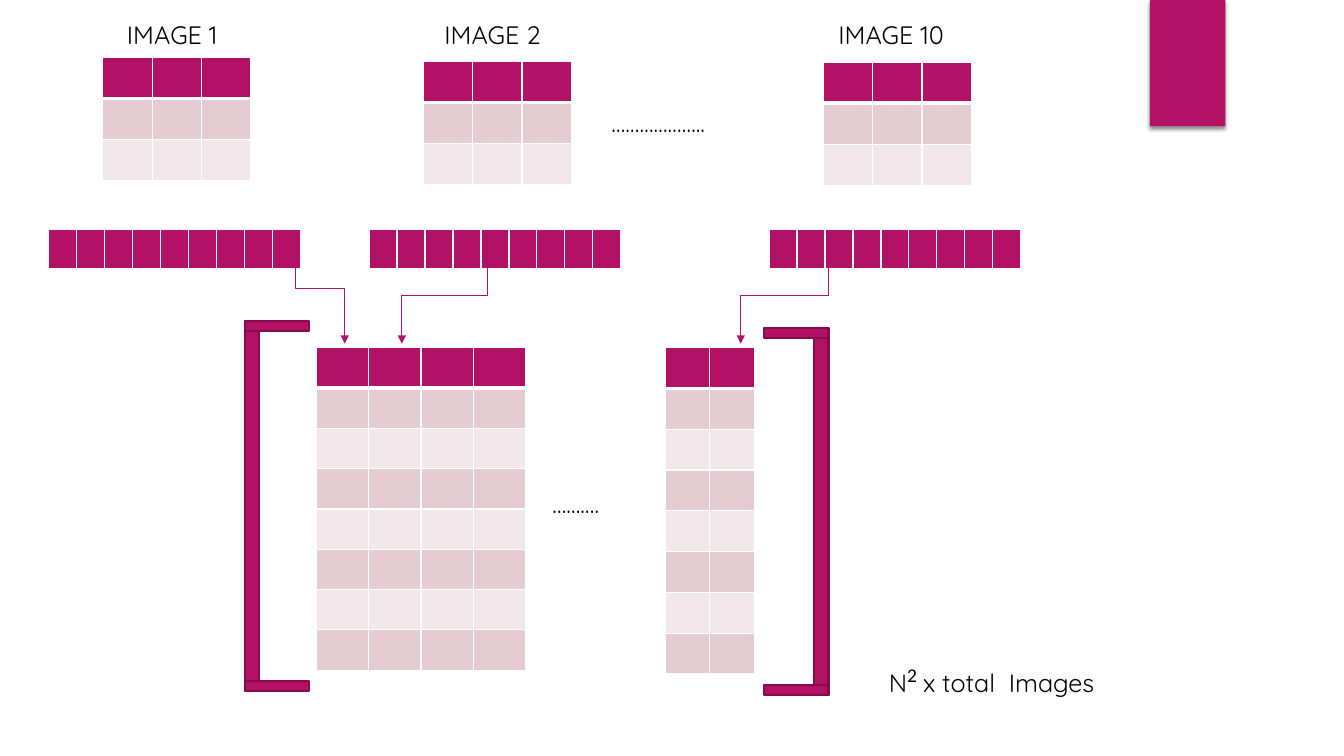
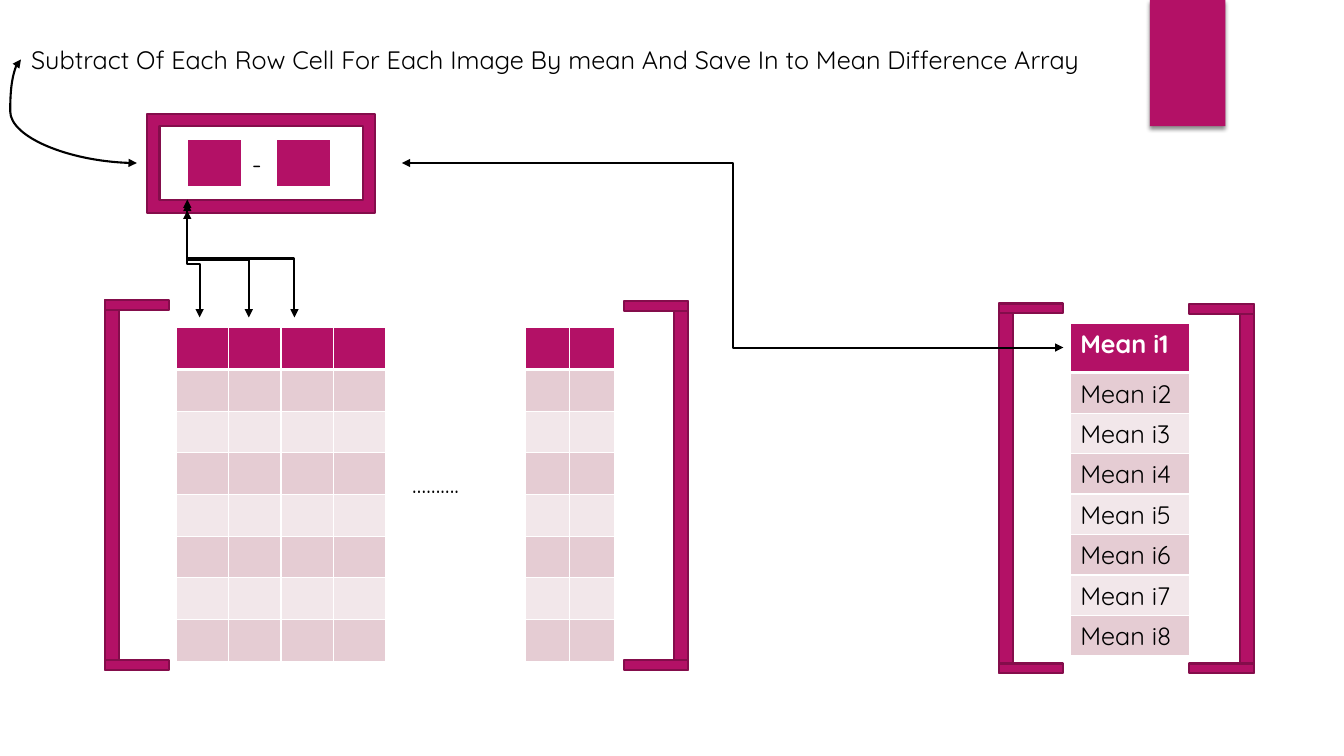
from dataclasses import dataclass

from lxml import etree
from pptx import Presentation
from pptx.dml.color import RGBColor
from pptx.enum.shapes import MSO_CONNECTOR, MSO_SHAPE
from pptx.enum.text import MSO_ANCHOR, PP_ALIGN
from pptx.oxml.ns import qn
from pptx.util import Cm, Pt

RECTANGLE, FRAME = MSO_SHAPE.RECTANGLE, MSO_SHAPE.FRAME
ELBOW, CURVE = MSO_CONNECTOR.ELBOW, MSO_CONNECTOR.CURVE
LEFT, TOP, MIDDLE = PP_ALIGN.LEFT, MSO_ANCHOR.TOP, MSO_ANCHOR.MIDDLE
TITLE_ONLY, BLANK = 5, 6


@dataclass(frozen=True)
class Theme:
    accent: str = "B31166"
    outline: str = "840D4B"
    band_dark: str = "E5CCD3"
    band_light: str = "F2E7EA"
    white: str = "FFFFFF"
    black: str = "000000"
    font: str = "Quicksand"
    digit_font: str = "Calibri"
    text_size: int = 18
    space_size: int = 16
    digit_size: int = 24
    thin: float = 0.75
    border: float = 1
    line: float = 1.5
    header_border: float = 3


THEME = Theme()

BAND = (28.98, 0, 1.9, 3.18)
LINE_HEIGHT = 1.02
BRACKET_WIDTH, SPINE, BAR = 1.63, 0.36, 0.25
STRIP_INSET, STRIP_TOP, STRIP_WIDTH, STRIP_HEIGHT = 1.37, 5.77, 6.35, 1.03
GRID_SIZE = (3.73, 3.1)

IMAGES = [
    {"label": "IMAGE 1", "label_box": (2.95, 3.25), "grid": (2.59, 1.45)},
    {"label": "IMAGE 2", "label_box": (10.95, 3.25), "grid": (10.67, 1.55)},
    {"label": "IMAGE 10", "label_box": (20.88, 3.61), "grid": (20.75, 1.57)},
]
IMAGE_DOTS = ("………………..", (15.16, 2.57, 4.78, LINE_HEIGHT))
IMAGE_ARROWS = [
    ((7.44, 5.89), (8.69, 8.66)),
    ((12.29, 6.25), (10.13, 8.66)),
    ((20.88, 6.25), (18.67, 8.66)),
]
TOTAL_RUNS = [
    ("N", {}),
    ("2", {"name": THEME.digit_font, "size": Pt(THEME.digit_size)}),
    (" ", {"size": Pt(THEME.space_size)}),
    ("x total  Images", {}),
]
TOTAL_BOX = (22.15, 16.48, 8.13, 1.07)

STACKED_MATRIX = {
    "origin": (7.98, 8.76), "heights": (8.13, 8.23),
    "brackets": ((8.1, 9.32), (8.26, 9.25)),
}
MEAN_MATRIX = {
    "origin": (4.45, 8.26), "heights": (8.4, 8.4),
    "brackets": ((7.57, 9.32), (7.59, 9.3)),
}

TITLE = ("Subtract Of Each Row Cell For Each Image By mean "
         "And Save In to Mean Difference Array")
TITLE_BOX = (0.53, 0.99, 28.47, LINE_HEIGHT)
MEANS = [[f"Mean i{number}"] for number in range(1, 9)]
MEAN_BOX = (26.97, 8.15, 3.02)
MEAN_ROWS = [1.24] + [1.02] * 7
MEAN_BRACKETS = [(25.17, 7.65, 9.32, False), (29.97, 7.67, 9.3, True)]
OPERATION_FRAME = (3.71, 2.87, 5.74, 2.49)
OPERAND_LEFTS, OPERAND_TOP, OPERAND_SIZE = (4.72, 6.96), 3.51, (1.37, 1.22)
MINUS = ("-", (6.1, 3.61, 0.74, LINE_HEIGHT))
CELL_ARROWS = [
    ((5.03, 8), (4.72, 5.31)),
    ((6.27, 8), (4.72, 5.11)),
    ((7.42, 8), (4.72, 5.03)),
]
MEAN_ARROW = ((26.8, 8.76), (10.13, 4.11))
TITLE_ARROW = ((3.45, 4.11), (0.53, 1.5))
TITLE_ARROW_BEND = 109300


def rgb(color):
    return RGBColor.from_string(color)


def apply(target, values):
    for name, value in values.items():
        setattr(target, name, value)


def lengths(values):
    return [Cm(value) for value in values]


def child(parent, tag, **attributes):
    return etree.SubElement(parent, qn(tag), attributes)


def add_run(paragraph, text, color=THEME.black, **values):
    run = paragraph.add_run()
    run.text = text
    apply(run.font, {"name": THEME.font, "size": Pt(THEME.text_size),
                     "bold": False, **values})
    run.font.color.rgb = rgb(color)
    return run


def add_text(slide, text, box):
    frame = slide.shapes.add_textbox(*lengths(box)).text_frame
    frame.word_wrap = True
    paragraph = frame.paragraphs[0]
    if text:
        add_run(paragraph, text)
    return paragraph


def add_block(slide, box, kind=RECTANGLE, outlined=True):
    shape = slide.shapes.add_shape(kind, *lengths(box))
    shape.shadow.inherit = False
    shape.fill.solid()
    shape.fill.fore_color.rgb = rgb(THEME.accent)
    if outlined:
        shape.line.color.rgb = rgb(THEME.outline)
        shape.line.width = Pt(THEME.line)
    else:
        shape.line.fill.background()
    return shape


def add_band(presentation, slide):
    band = add_block(slide, BAND, outlined=False)
    effects = band.element.spPr.find(qn("a:effectLst"))
    shadow = child(effects, "a:outerShdw", blurRad=str(Pt(3)), dist=str(Pt(2)),
                   dir="5400000", rotWithShape="0")
    color = child(shadow, "a:srgbClr", val=THEME.black)
    child(color, "a:alpha", val="45000")
    band.element.nvSpPr.cNvPr.set("id", "100")
    presentation.slide_master.shapes.element.append(band.element)


def add_borders(cell, bottom):
    properties = cell.fill._xPr
    sides = {"a:lnL": THEME.border, "a:lnR": THEME.border,
             "a:lnT": THEME.border, "a:lnB": bottom}
    for index, (tag, width) in enumerate(sides.items()):
        line = etree.Element(qn(tag), {"w": str(Pt(width))})
        child(child(line, "a:solidFill"), "a:srgbClr", val=THEME.white)
        properties.insert(index, line)


def add_grid(slide, origin, width, heights, columns, texts=None):
    table = slide.shapes.add_table(
        len(heights), columns, *lengths((*origin, width, sum(heights)))).table
    table.horz_banding = False
    for column in table.columns:
        column.width = Cm(width / columns)
    for row_index, height in enumerate(heights):
        table.rows[row_index].height = Cm(height)
        header = row_index == 0
        band = THEME.band_dark if row_index % 2 else THEME.band_light
        for column_index, cell in enumerate(table.rows[row_index].cells):
            apply(cell, {"margin_top": Cm(0.13 if texts else 0),
                         "margin_bottom": Cm(0), "vertical_anchor": TOP})
            cell.fill.solid()
            cell.fill.fore_color.rgb = rgb(THEME.accent if header else band)
            add_borders(cell, THEME.header_border if header else THEME.border)
            if texts:
                add_run(cell.text_frame.paragraphs[0],
                        texts[row_index][column_index],
                        THEME.white if header else THEME.black, bold=header)


def add_bracket(slide, left, top, height, closing):
    spine_left = left + BRACKET_WIDTH - SPINE if closing else left
    add_block(slide, (spine_left, top, SPINE, height))
    for bar_top in (top, top + height - BAR):
        add_block(slide, (left, bar_top, BRACKET_WIDTH, BAR))


def add_matrix(slide, origin, heights, brackets):
    left, top = origin
    parts = [(0, 5.26, 4), (8.78, 2.26, 2)]
    for (offset, width, columns), height in zip(parts, heights):
        add_grid(slide, (left + offset, top), width, [height / 8] * 8, columns)
    add_text(slide, "……….", (left + 5.69, top + 3.42, 2.69, LINE_HEIGHT))
    for offset, (bracket_top, height), closing in zip(
            (-1.81, 11.27), brackets, (False, True)):
        add_bracket(slide, left + offset, bracket_top, height, closing)


def add_arrow(slide, start, end, kind=ELBOW, color=THEME.black,
              width=THEME.line, both=True, upright=False):
    if upright:
        center_x, center_y = (start[0] + end[0]) / 2, (start[1] + end[1]) / 2
        across, down = start[0] - center_x, start[1] - center_y
        start = (center_x - down, center_y + across)
        end = (center_x + down, center_y - across)
    connector = slide.shapes.add_connector(kind, *lengths((*start, *end)))
    connector.line.color.rgb = rgb(color)
    connector.line.width = Pt(width)
    properties = connector.element.spPr
    if upright:
        properties.find(qn("a:xfrm")).set("rot", "16200000")
    line = properties.find(qn("a:ln"))
    for tag in ("a:headEnd", "a:tailEnd") if both else ("a:tailEnd",):
        child(line, tag, type="triangle")
    child(properties, "a:effectLst")
    return connector


def build_stacking(presentation):
    slide = presentation.slides.add_slide(presentation.slide_layouts[BLANK])
    add_band(presentation, slide)
    grid_width, grid_height = GRID_SIZE
    for image in IMAGES:
        label_left, label_width = image["label_box"]
        add_text(slide, image["label"],
                 (label_left, 0.36, label_width, LINE_HEIGHT))
        add_grid(slide, image["grid"], grid_width, [grid_height / 3] * 3, 3)
        add_grid(slide, (image["grid"][0] - STRIP_INSET, STRIP_TOP),
                 STRIP_WIDTH, [STRIP_HEIGHT], 9)
    add_text(slide, *IMAGE_DOTS)
    add_matrix(slide, **STACKED_MATRIX)
    for start, end in IMAGE_ARROWS:
        add_arrow(slide, start, end, color=THEME.accent, width=THEME.thin,
                  both=False, upright=True)
    total = add_text(slide, "", TOTAL_BOX)
    runs = [add_run(total, text, **values) for text, values in TOTAL_RUNS]
    runs[1].font._element.set("baseline", "30000")


def build_difference(presentation):
    slide = presentation.slides.add_slide(
        presentation.slide_layouts[TITLE_ONLY])
    title = slide.shapes.title
    apply(title, dict(zip(("left", "top", "width", "height"),
                          lengths(TITLE_BOX))))
    title.text_frame.vertical_anchor = MIDDLE
    paragraph = title.text_frame.paragraphs[0]
    paragraph.alignment = LEFT
    add_run(paragraph, TITLE)

    add_matrix(slide, **MEAN_MATRIX)
    left, top, width = MEAN_BOX
    add_grid(slide, (left, top), width, MEAN_ROWS, 1, MEANS)
    for bracket in MEAN_BRACKETS:
        add_bracket(slide, *bracket)

    width, height = OPERAND_SIZE
    for left in OPERAND_LEFTS:
        add_grid(slide, (left, OPERAND_TOP), width, [height], 1)
    add_text(slide, *MINUS)
    add_block(slide, OPERATION_FRAME, FRAME)

    add_arrow(slide, *MEAN_ARROW)
    for start, end in CELL_ARROWS:
        add_arrow(slide, start, end, upright=True)
    curve = add_arrow(slide, *TITLE_ARROW, kind=CURVE)
    geometry = curve.element.spPr.find(qn("a:prstGeom"))
    adjustments = geometry.find(qn("a:avLst"))
    if adjustments is None:
        adjustments = child(geometry, "a:avLst")
    child(adjustments, "a:gd", name="adj1", fmla=f"val {TITLE_ARROW_BEND}")


def main():
    presentation = Presentation()
    presentation.slide_width, presentation.slide_height = Cm(33.87), Cm(19.05)
    build_stacking(presentation)
    build_difference(presentation)
    presentation.save("out.pptx")


if __name__ == "__main__":
    main()
